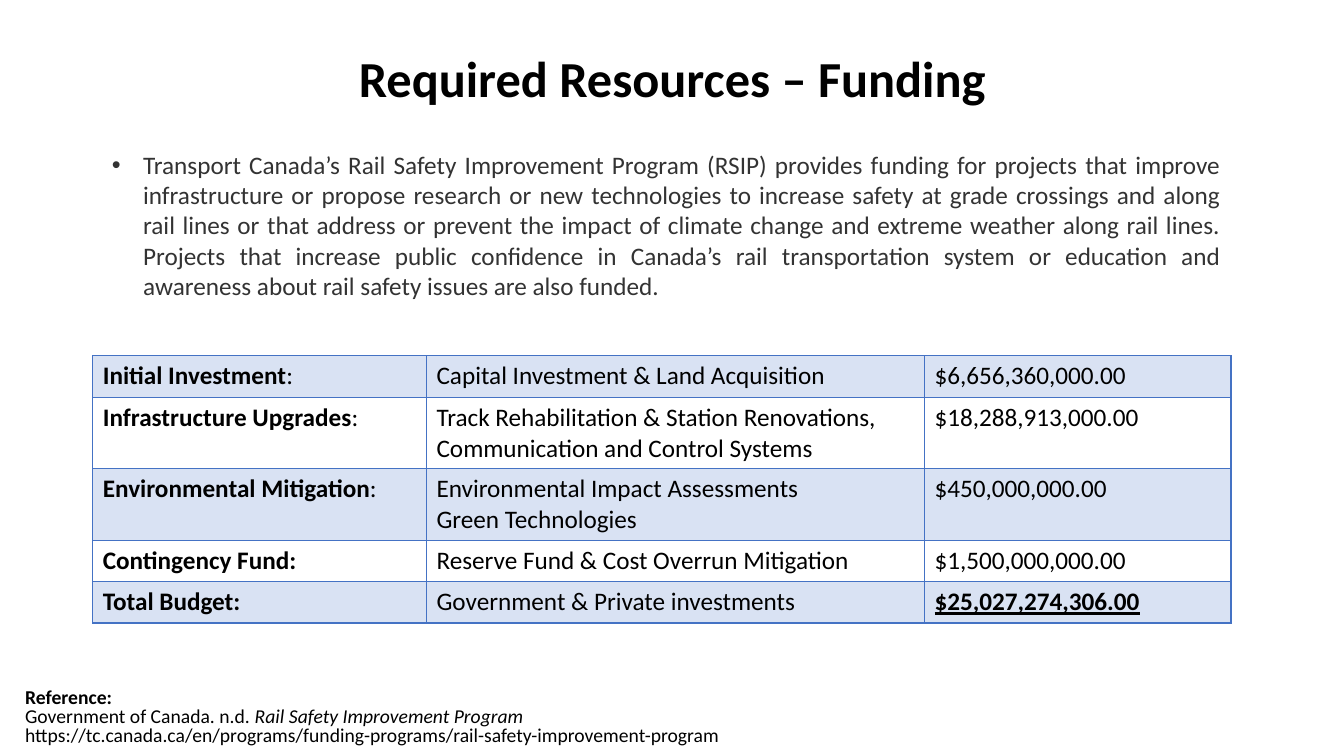
from dataclasses import dataclass

from lxml.etree import SubElement
from pptx import Presentation
from pptx.dml.color import RGBColor
from pptx.enum.text import MSO_ANCHOR, MSO_AUTO_SIZE, PP_ALIGN
from pptx.oxml.ns import qn
from pptx.util import Inches, Pt


@dataclass(frozen=True)
class Theme:
    font: str = "Calibri"
    text: str = "000000"
    body: str = "333333"
    accent: str = "4472C4"
    band_opacity: int = 20
    title_size: int = 36
    body_size: int = 18
    reference_size: int = 14
    border_width: int = 1


THEME = Theme()
SLIDE_WIDTH, SLIDE_HEIGHT = Inches(13.33), Inches(7.5)

# Shares of the slide in percent: left, top, width, height
LEFT, CONTENT_WIDTH = 6.9, 84.7
TITLE_BOX = (LEFT, 5.33, 86.27, 10.93)
BODY_BOX = (LEFT, 19.07, CONTENT_WIDTH, 71.07)
TABLE_BOX = (LEFT, 47.07, CONTENT_WIDTH, 35.35)
REFERENCE_BOX = (1.13, 90.53, 97.82, 9.47)

COLUMN_SHARES = (29.32, 43.75, 26.93)  # percent of the table's width
ROW_SHARES = (15.5, 26.75, 26.75, 15.5, 15.5)  # percent of its height

PROGRAM = (
    "Transport Canada’s Rail Safety Improvement Program (RSIP) provides funding for "
    "projects that improve infrastructure or propose research or new technologies to "
    "increase safety at grade crossings and along rail lines or that address or prevent "
    "the impact of climate change and extreme weather along rail lines. Projects that "
    "increase public confidence in Canada’s rail transportation system or education and "
    "awareness about rail safety issues are also funded."
)
# Bold label, plain ending of the label, lines of purpose, amount
BUDGET = [
    ("Initial Investment", ":", ["Capital Investment & Land Acquisition"], "$6,656,360,000.00"),
    ("Infrastructure Upgrades", ":",
     ["Track Rehabilitation & Station Renovations, Communication and Control Systems"],
     "$18,288,913,000.00"),
    ("Environmental Mitigation", ":",
     ["Environmental Impact Assessments", "Green Technologies"], "$450,000,000.00"),
    ("Contingency Fund:", "", ["Reserve Fund & Cost Overrun Mitigation"], "$1,500,000,000.00"),
    ("Total Budget:", "", ["Government & Private investments"], "$25,027,274,306.00"),
]


def to_lengths(box):
    left, top, width, height = box
    return (int(SLIDE_WIDTH * left / 100), int(SLIDE_HEIGHT * top / 100),
            int(SLIDE_WIDTH * width / 100), int(SLIDE_HEIGHT * height / 100))


def place(shape, box):
    shape.left, shape.top, shape.width, shape.height = to_lengths(box)


def add_text(paragraph, text, size=THEME.body_size, color=THEME.text,
             bold=False, italic=False, underline=False):
    run = paragraph.add_run()
    run.text = text
    font = run.font
    font.name, font.size = THEME.font, Pt(size)
    font.bold, font.italic, font.underline = bold, italic, underline
    font.color.rgb = RGBColor.from_string(color)


def next_paragraph(frame, index):
    return frame.paragraphs[0] if index == 0 else frame.add_paragraph()


def add_title(slide, box):
    title = slide.shapes.title
    place(title, box)
    frame = title.text_frame
    frame.auto_size = MSO_AUTO_SIZE.NONE
    frame.vertical_anchor = MSO_ANCHOR.MIDDLE
    paragraph = frame.paragraphs[0]
    paragraph.alignment = PP_ALIGN.CENTER
    paragraph.line_spacing = 0.9
    add_text(paragraph, "Required Resources – Funding", size=THEME.title_size, bold=True)


def add_program(slide, box):
    body = slide.placeholders[1]
    place(body, box)
    frame = body.text_frame
    frame.auto_size = MSO_AUTO_SIZE.NONE
    paragraph = frame.paragraphs[0]
    paragraph.level = 1
    paragraph.alignment = PP_ALIGN.JUSTIFY
    paragraph.line_spacing = 1.0
    paragraph.space_before = Pt(0)
    # Bullet with hanging indent
    properties = paragraph._p.get_or_add_pPr()
    properties.set("marL", str(Inches(0.4)))
    properties.set("indent", str(Inches(-0.31)))
    SubElement(properties, qn("a:buFont"), typeface="Arial")
    SubElement(properties, qn("a:buChar"), char="•")
    add_text(paragraph, PROGRAM, color=THEME.body)


def format_cell(cell, banded):
    properties = cell._tc.get_or_add_tcPr()
    for side in ("lnL", "lnR", "lnT", "lnB"):
        line = SubElement(properties, qn(f"a:{side}"), w=str(Pt(THEME.border_width)))
        SubElement(SubElement(line, qn("a:solidFill")), qn("a:srgbClr"), val=THEME.accent)
    if banded:
        cell.fill.solid()
        cell.fill.fore_color.rgb = RGBColor.from_string(THEME.accent)
        color = properties.find(qn("a:solidFill")).find(qn("a:srgbClr"))
        SubElement(color, qn("a:alpha"), val=str(THEME.band_opacity * 1000))
    else:
        cell.fill.background()


def add_budget(slide, box):
    left, top, width, height = to_lengths(box)
    table = slide.shapes.add_table(
        len(BUDGET), len(COLUMN_SHARES), left, top, width, height).table
    table.first_row = table.horz_banding = False
    for column, share in zip(table.columns, COLUMN_SHARES):
        column.width = int(width * share / 100)
    for row, share in zip(table.rows, ROW_SHARES):
        row.height = int(height * share / 100)

    for index, (label, ending, purposes, amount) in enumerate(BUDGET):
        label_cell, purpose_cell, amount_cell = table.rows[index].cells
        for cell in (label_cell, purpose_cell, amount_cell):
            format_cell(cell, banded=index % 2 == 0)
        label_paragraph = label_cell.text_frame.paragraphs[0]
        add_text(label_paragraph, label, bold=True)
        if ending:
            add_text(label_paragraph, ending)
        for number, purpose in enumerate(purposes):
            add_text(next_paragraph(purpose_cell.text_frame, number), purpose)
        is_total = index == len(BUDGET) - 1
        add_text(amount_cell.text_frame.paragraphs[0], amount,
                 bold=is_total, underline=is_total)


def add_reference(slide, box):
    frame = slide.shapes.add_textbox(*to_lengths(box)).text_frame
    frame.word_wrap = True
    lines = [
        [("Reference:", {"bold": True})],
        [("Government of Canada. n.d.", {}),
         (" Rail Safety Improvement Program", {"italic": True})],
        [("https://tc.canada.ca/en/programs/funding-programs/rail-safety-improvement-program", {})],
    ]
    for index, pieces in enumerate(lines):
        paragraph = next_paragraph(frame, index)
        paragraph.line_spacing = 0.8
        for text, style in pieces:
            add_text(paragraph, text, size=THEME.reference_size, **style)


def main():
    presentation = Presentation()
    presentation.slide_width, presentation.slide_height = SLIDE_WIDTH, SLIDE_HEIGHT
    slide = presentation.slides.add_slide(presentation.slide_layouts[1])
    add_title(slide, TITLE_BOX)
    add_program(slide, BODY_BOX)
    add_reference(slide, REFERENCE_BOX)
    add_budget(slide, TABLE_BOX)
    presentation.save("out.pptx")


if __name__ == "__main__":
    main()
